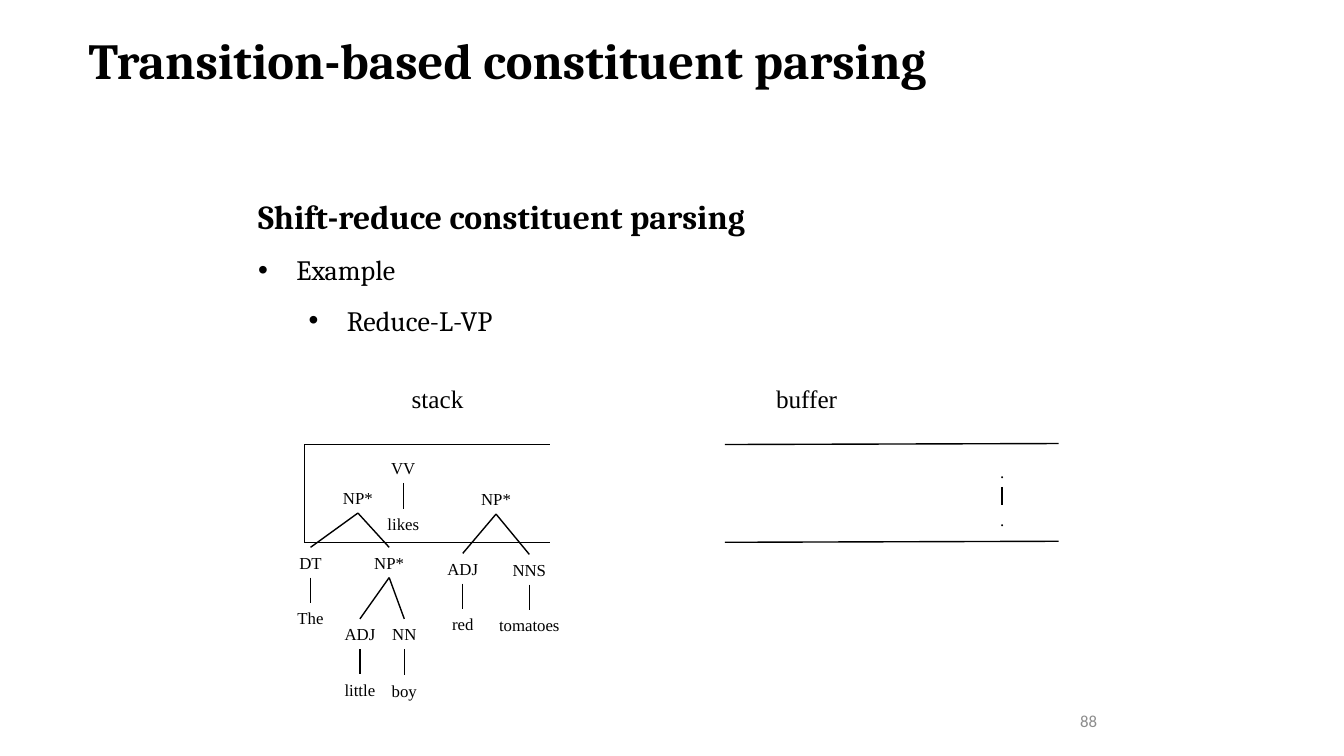
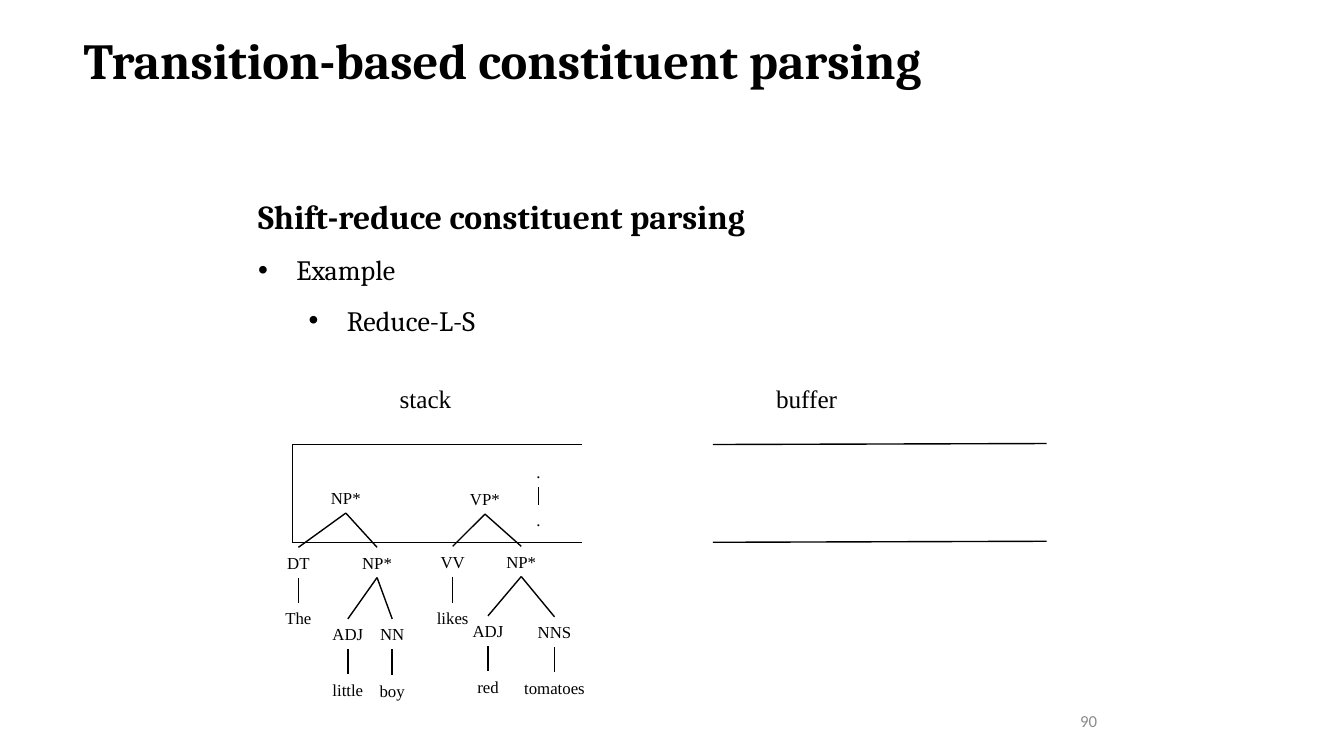
"""Build two slides that step through a shift-reduce constituent parse."""
from lxml import etree
from pptx import Presentation
from pptx.dml.color import RGBColor
from pptx.enum.shapes import MSO_CONNECTOR
from pptx.enum.text import MSO_ANCHOR, MSO_AUTO_SIZE, PP_ALIGN
from pptx.oxml.ns import qn
from pptx.util import Inches, Pt

STRAIGHT = MSO_CONNECTOR.STRAIGHT
TOP, MIDDLE = MSO_ANCHOR.TOP, MSO_ANCHOR.MIDDLE
LEFT, CENTER, RIGHT = PP_ALIGN.LEFT, PP_ALIGN.CENTER, PP_ALIGN.RIGHT
FIXED = MSO_AUTO_SIZE.NONE
HEAD, BODY, TREE, FOOT = "Cambria", "Cambria", "Times New Roman", "Calibri"
BLACK, GRAY = "000000", "8C8C8C"

WIDTHS = {"stack": 0.72, "buffer": 0.81, "tomatoes": 0.81, "NNS": 0.54,
          "likes": 0.52, "NP*": 0.5, "VP*": 0.5, "ADJ": 0.51, "little": 0.51,
          "The": 0.46, "boy": 0.45, "NN": 0.44, "VV": 0.44, "DT": 0.43,
          "red": 0.42, ".": 0.24}

BOY = [("NP*", 3.55, 4.79, None), ("DT", 3.08, 5.43, 0), ("NP*", 3.86, 5.43, 0),
       ("The", 3.08, 5.98, 1), ("ADJ", 3.57, 6.14, 2), ("NN", 4.01, 6.14, 2),
       ("little", 3.57, 6.69, 4), ("boy", 4.01, 6.7, 5)]
LIKES = [("VV", 4, 4.49, None), ("likes", 4, 5.05, 0)]
FRUIT = [("NP*", 4.92, 4.8, None), ("ADJ", 4.59, 5.49, 0), ("NNS", 5.25, 5.5, 0),
         ("red", 4.59, 6.04, 1), ("tomatoes", 5.25, 6.05, 2)]
STOP = [(".", 9.94, 4.53, None), (".", 9.94, 5.01, 0)]
VERB = [("VP*", 4.81, 4.8, None)]

STEPS = [
    ("Reduce-L-VP", "88", 0.78, 0, 5.46,
     [(BOY, 0, 0, None), (LIKES, 0, 0, None), (FRUIT, 0, 0, None),
      (STOP, 0, 0, None)]),
    ("Reduce-L-S", "90", 0.73, -0.12, 5.77,
     [(VERB, 0, 0, None), (BOY, -0.12, 0, None), (LIKES, 0.49, 0.93, 0),
      (FRUIT, 0.25, 0.62, 0), (STOP, -4.6, 0, None)]),
]


def label(slide, text, mid, top, size=12):
    """Write a word centred on mid and return its box."""
    wide = WIDTHS[text]
    box = slide.shapes.add_textbox(Inches(mid - wide / 2), Inches(top),
                                   Inches(wide), Inches(0.3 if size == 12 else 0.4))
    box.text_frame.word_wrap = False
    para = box.text_frame.paragraphs[0]
    para.text, para.alignment = text, CENTER
    para.font.name, para.font.size = TREE, Pt(size)
    para.font.color.rgb = RGBColor.from_string(BLACK)
    return box


def stroke(slide, *ends):
    """Draw a thin black line between two points and return it."""
    line = slide.shapes.add_connector(STRAIGHT, *[Inches(end) for end in ends])
    line.line.color.rgb = RGBColor.from_string(BLACK)
    line.line.width = Pt(1)
    etree.SubElement(line._element.spPr, qn("a:effectLst"))
    return line


deck = Presentation()
deck.slide_width, deck.slide_height = Inches(13.33), Inches(7.5)

for action, page, left, shift, edge, parts in STEPS:
    slide = deck.slides.add_slide(deck.slide_layouts[1])

    title = slide.shapes.title
    title.left, title.top = Inches(left), Inches(0.24)
    title.width, title.height = Inches(8.68), Inches(0.71)
    frame = title.text_frame
    frame.text = "Transition-based constituent parsing"
    frame.auto_size, frame.vertical_anchor = FIXED, TOP
    para = frame.paragraphs[0]
    para.alignment = LEFT
    para.font.name, para.font.size, para.font.bold = HEAD, Pt(36), True
    para.font.color.rgb = RGBColor.from_string(BLACK)

    body = slide.placeholders[1]
    body.left, body.top = Inches(2.46), Inches(1.69)
    body.width, body.height = Inches(7.71), Inches(1.67)
    frame = body.text_frame
    frame.text = "\n".join(["Shift-reduce constituent parsing", "Example", action])
    frame.auto_size = FIXED
    rows = [(24, 0, 0), (20, 0, 0.38), (20, 1, 0.88)]
    for para, (size, level, margin) in zip(frame.paragraphs, rows):
        props = para._p.get_or_add_pPr()
        props.set("marL", str(Inches(margin)))
        props.set("indent", str(Inches(-0.38 if margin else 0)))
        if margin:
            etree.SubElement(props, qn("a:buFont")).set("typeface", "Arial")
            etree.SubElement(props, qn("a:buChar")).set("char", "•")
        else:
            etree.SubElement(props, qn("a:buNone"))
        para.level, para.line_spacing, para.space_before = level, 1.5, Pt(0)
        para.font.name, para.font.size, para.font.bold = BODY, Pt(size), not margin
        para.font.color.rgb = RGBColor.from_string(BLACK)

    foot = slide.shapes.add_textbox(Inches(8.73), Inches(6.95), Inches(2.25), Inches(0.4))
    foot.text_frame.word_wrap = True
    foot.text_frame.vertical_anchor = MIDDLE
    para = foot.text_frame.paragraphs[0]
    para.text, para.alignment = page, RIGHT
    para.font.name, para.font.size = FOOT, Pt(12)
    para.font.color.rgb = RGBColor.from_string(GRAY)

    label(slide, "stack", 4.34 + shift, 3.75, 18)
    label(slide, "buffer", 8, 3.75, 18)
    start = 3.02 + shift
    stroke(slide, start, 4.41, start, 5.38)
    for rail in (4.41, 5.38):
        stroke(slide, start, rail, edge, rail)
        stroke(slide, 7.19 + shift, rail, 10.5 + shift, rail - 0.01)

    heads = []
    for tree, right, down, hang in parts:
        boxes = []
        for word, mid, top, above in tree:
            box = label(slide, word, mid + right, top + down)
            if above is not None:
                owner = boxes[above]
            else:
                owner = None if hang is None else heads[hang]
            if owner is not None:
                link = stroke(slide, 0, 0, 0, 0)
                link.begin_connect(owner, 2)
                link.end_connect(box, 0)
            boxes.append(box)
        heads.append(boxes[0])

deck.save("out.pptx")
